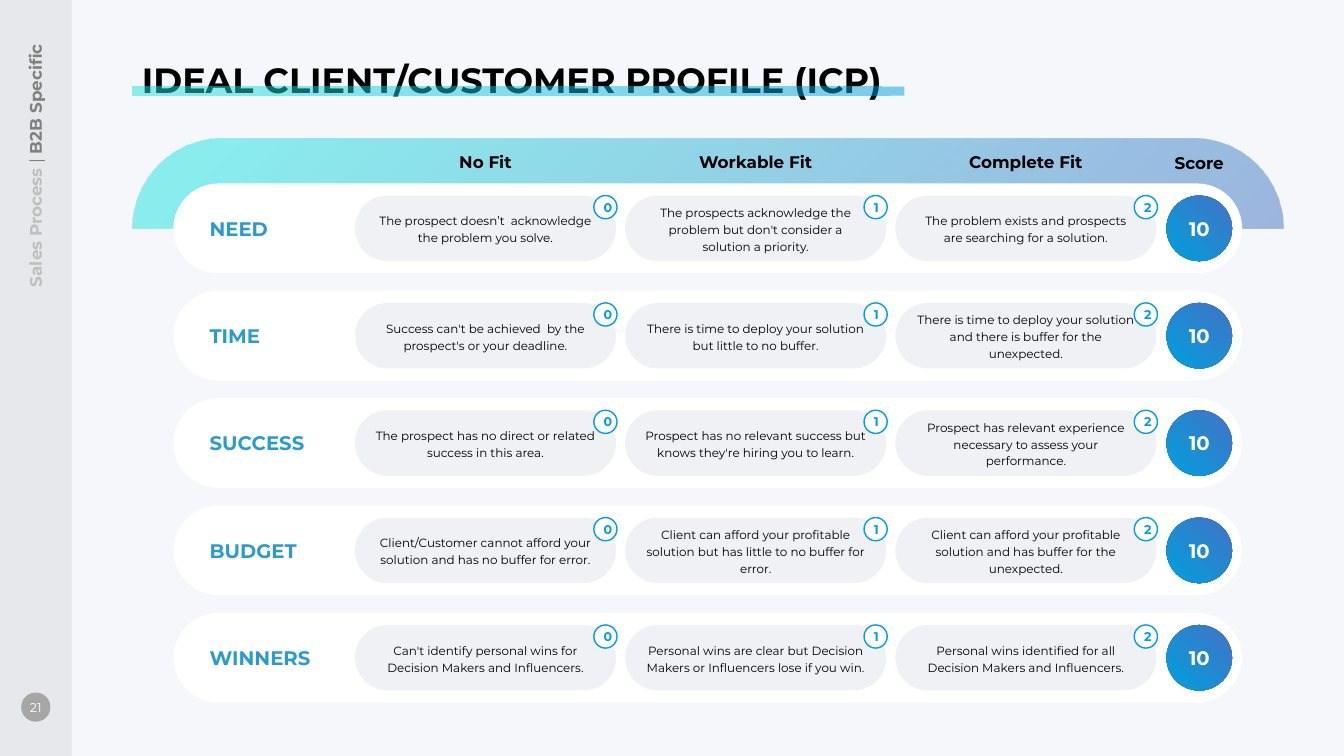
from math import cos, pi, sin

from lxml.etree import SubElement
from pptx import Presentation
from pptx.dml.color import RGBColor
from pptx.enum.shapes import MSO_SHAPE as Preset
from pptx.enum.text import MSO_ANCHOR as Anchor, PP_ALIGN as Align
from pptx.oxml.ns import qn
from pptx.util import Inches, Pt

TITLE = "IDEAL CLIENT/CUSTOMER PROFILE (ICP)"
PAGE_NUMBER = "21"
SCORE_HEADING, SCORE = "Score", "10"
FITS = [("No Fit", "0"), ("Workable Fit", "1"), ("Complete Fit", "2")]
CRITERIA = {
    "NEED": ["The prospect doesn’t  acknowledge the problem you solve.",
             "The prospects acknowledge the problem but don't consider a solution a priority.",
             "The problem exists and prospects are searching for a solution."],
    "TIME": ["Success can't be achieved  by the prospect's or your deadline.",
             "There is time to deploy your solution but little to no buffer.",
             "There is time to deploy your solution and there is buffer for the unexpected."],
    "SUCCESS": ["The prospect has no direct or related success in this area.",
                "Prospect has no relevant success but knows they're hiring you to learn.",
                "Prospect has relevant experience necessary to assess your performance."],
    "BUDGET": ["Client/Customer cannot afford your solution and has no buffer for error.",
               "Client can afford your profitable solution but has little to no buffer for error.",
               "Client can afford your profitable solution and has buffer for the unexpected."],
    "WINNERS": ["Can't identify personal wins for Decision Makers and Influencers.",
                "Personal wins are clear but Decision Makers or Influencers lose if you win.",
                "Personal wins identified for all Decision Makers and Influencers."],
}
FONT = "Montserrat"
COLORS = {"background": "F6F7FB", "sidebar": "404040", "page": "A6A6A6",
          "section": "BFBFBF", "topic": "808080", "white": "FFFFFF", "black": "000000",
          "pill": "EFF1F5", "blue": "00A0DE", "royal": "4472C4", "turquoise": "1DE5E2",
          "sky": "2A9BD2", "cyan": "0FC3E0"}
SECTION_RUNS = [("Sales Process ", "section", True), ("| ", "topic", False),
                ("B2B Specific", "topic", True)]
SCORE_STOPS = [(0, "blue"), (100, "royal")]
LABEL_STOPS = [(0, "royal"), (43, "sky"), (100, "cyan")]
TITLE_STOPS = [(0, "turquoise"), (100, "blue")]
BAND_STOPS = [(7, "turquoise"), (100, "royal")]
TOP_LEFT, BOTTOM_LEFT = (0, 0, 100, 100), (0, 100, 100, 0)

# Grid, in inches
SLIDE_WIDTH, SLIDE_HEIGHT, SIDEBAR_WIDTH = 13.33, 7.5, 0.71
LEFT = 1.31
BAND_TOP, BAND_WIDTH, BAND_HEIGHT = 1.38, 11.42, 0.885
ROW_LEFT, ROW_TOP, ROW_WIDTH, ROW_HEIGHT, ROW_PITCH = 1.72, 1.82, 10.6, 0.89, 1.065
PILL_LEFT, PILL_WIDTH, PILL_HEIGHT, PILL_PITCH = 3.52, 2.59, 0.65, 2.68
PILL_INSET = (ROW_HEIGHT - PILL_HEIGHT) / 2
SCORE_LEFT, BADGE, LABEL_LEFT, LABEL_WIDTH = 11.57, 0.23, 1.98, 1.41
HEADING_TOP, HEADING_WIDTH, HEADING_HEIGHT = 1.45, 1.93, 0.34

presentation = Presentation()
presentation.slide_width, presentation.slide_height = Inches(SLIDE_WIDTH), Inches(SLIDE_HEIGHT)
slide = presentation.slides.add_slide(presentation.slide_layouts[6])
shapes = slide.shapes


def color(name):
    return RGBColor.from_string(COLORS[name])


def set_alpha(color_element, percent):
    SubElement(color_element, qn("a:alpha"), val=str(percent * 1000))


def set_gradient(fill, properties, stops, focus=None, alpha=100):
    """Fill with a radial gradient around focus, or a 45 degree one without it."""
    fill.solid()
    solid = properties.find(qn("a:solidFill"))
    gradient = solid.makeelement(qn("a:gradFill"), {"rotWithShape": "1"})
    stop_list = SubElement(gradient, qn("a:gsLst"))
    for position, name in stops:
        stop = SubElement(stop_list, qn("a:gs"), pos=str(position * 1000))
        stop_color = SubElement(stop, qn("a:srgbClr"), val=COLORS[name])
        if alpha < 100:
            set_alpha(stop_color, alpha)
    if focus:
        path = SubElement(gradient, qn("a:path"), {"path": "circle"})
        SubElement(path, qn("a:fillToRect"),
                   {side: str(share * 1000) for side, share in zip("ltrb", focus)})
    else:
        SubElement(gradient, qn("a:lin"), ang=str(45 * 60000), scaled="0")
    properties.replace(solid, gradient)


def add_shape(preset, box, fill=None, line=None):
    shape = shapes.add_shape(preset, *map(Inches, box))
    shape.shadow.inherit = False
    if preset == Preset.ROUNDED_RECTANGLE:
        shape.adjustments[0] = 0.5
    if fill:
        shape.fill.solid()
        shape.fill.fore_color.rgb = color(fill)
    if line:
        shape.line.color.rgb = color(line)
        shape.line.width = Pt(1)
    else:
        shape.line.fill.background()
    return shape


def format_run(run, size, name, bold):
    run.font.name, run.font.size, run.font.bold = FONT, Pt(size), bold
    run.font.color.rgb = color(name)


def write(shape, text, size, name="black", bold=False, align=Align.CENTER, spacing=None):
    frame = shape.text_frame
    frame.text = text
    frame.word_wrap = True
    frame.vertical_anchor = Anchor.MIDDLE
    paragraph = frame.paragraphs[0]
    paragraph.alignment = align
    if spacing:
        paragraph.line_spacing = Pt(spacing)
    format_run(paragraph.runs[0], size, name, bold)
    return frame


def add_text(box, text, size, **style):
    return write(shapes.add_textbox(*map(Inches, box)), text, size, **style)


def add_band():
    """Draw the header band: a bar whose two top corners are quarter circles."""
    radius, steps = BAND_HEIGHT, 40
    angles = [pi / 2 * step / steps for step in range(steps + 1)]
    bottom, right = BAND_TOP + radius, LEFT + BAND_WIDTH
    left_arc = [(LEFT + radius * (1 - cos(a)), bottom - radius * sin(a)) for a in angles]
    right_arc = [(LEFT + right - x, y) for x, y in reversed(left_arc)]
    points = [(Inches(x), Inches(y)) for x, y in left_arc + right_arc]
    builder = shapes.build_freeform(*points[0])
    builder.add_line_segments(points[1:], close=True)
    band = builder.convert_to_shape()
    band.shadow.inherit = False
    band.line.fill.background()
    set_gradient(band.fill, band.element.spPr, BAND_STOPS, TOP_LEFT, 50)


def add_frame():
    sidebar = add_shape(Preset.RECTANGLE, (0, 0, SIDEBAR_WIDTH, SLIDE_HEIGHT), "sidebar")
    set_alpha(sidebar.element.spPr.find(qn("a:solidFill"))[0], 8)
    page = add_shape(Preset.OVAL, (0.21, 6.87, 0.29, 0.29), "page")
    frame = write(page, PAGE_NUMBER, 9, "white")
    frame.margin_left = frame.margin_right = 0

    section = shapes.add_textbox(*map(Inches, (-1.04, 1.58, 2.78, 0.3)))
    section.rotation = 270
    section.text_frame.word_wrap = False
    paragraph = section.text_frame.paragraphs[0]
    paragraph.alignment = Align.RIGHT
    for text, name, bold in SECTION_RUNS:
        run = paragraph.add_run()
        run.text = text
        format_run(run, 12, name, bold)


def add_headings():
    for column, (heading, _) in enumerate(FITS):
        center = PILL_LEFT + column * PILL_PITCH + PILL_WIDTH / 2
        add_text((center - HEADING_WIDTH / 2, HEADING_TOP, HEADING_WIDTH, HEADING_HEIGHT),
                 heading, 12, bold=True, spacing=12)
    add_text((11.46, HEADING_TOP, 0.87, HEADING_HEIGHT), SCORE_HEADING, 12, bold=True)


def add_criterion(row, label, answers):
    top = ROW_TOP + row * ROW_PITCH
    add_shape(Preset.ROUNDED_RECTANGLE, (ROW_LEFT, top, ROW_WIDTH, ROW_HEIGHT), "white")
    top += PILL_INSET
    for column, (answer, (_, points)) in enumerate(zip(answers, FITS)):
        left = PILL_LEFT + column * PILL_PITCH
        pill = add_shape(Preset.ROUNDED_RECTANGLE, (left, top, PILL_WIDTH, PILL_HEIGHT), "pill")
        write(pill, answer, 8.5, spacing=12)
        badge = add_shape(Preset.ROUNDED_RECTANGLE,
                          (left + PILL_WIDTH - BADGE + 0.01, top, BADGE, BADGE), "white", "blue")
        write(badge, points, 9, "blue", True)

    score = add_shape(Preset.ROUNDED_RECTANGLE, (SCORE_LEFT, top, PILL_HEIGHT, PILL_HEIGHT))
    set_gradient(score.fill, score.element.spPr, SCORE_STOPS, BOTTOM_LEFT)
    frame = write(score, SCORE, 14, "white", True)
    frame.margin_top = frame.margin_bottom = 0
    frame.paragraphs[0].space_after = Pt(6)

    frame = add_text((LABEL_LEFT, top, LABEL_WIDTH, PILL_HEIGHT), label, 14,
                     name="sky", bold=True, align=Align.LEFT)
    font = frame.paragraphs[0].runs[0].font
    set_gradient(font.fill, frame.paragraphs[0].runs[0]._r.rPr, LABEL_STOPS)


def add_title():
    frame = add_text((LEFT, 0.53, 7.66, 0.52), TITLE, 25, bold=True, align=Align.LEFT)
    frame.word_wrap = False
    frame.vertical_anchor = Anchor.TOP
    underline = add_shape(Preset.RECTANGLE, (LEFT, 0.86, 7.66, 0.09))
    set_gradient(underline.fill, underline.element.spPr, TITLE_STOPS, BOTTOM_LEFT, 50)


slide.background.fill.solid()
slide.background.fill.fore_color.rgb = color("background")
add_frame()
add_band()
add_headings()
for row, (label, answers) in enumerate(CRITERIA.items()):
    add_criterion(row, label, answers)
add_title()
presentation.save("out.pptx")
